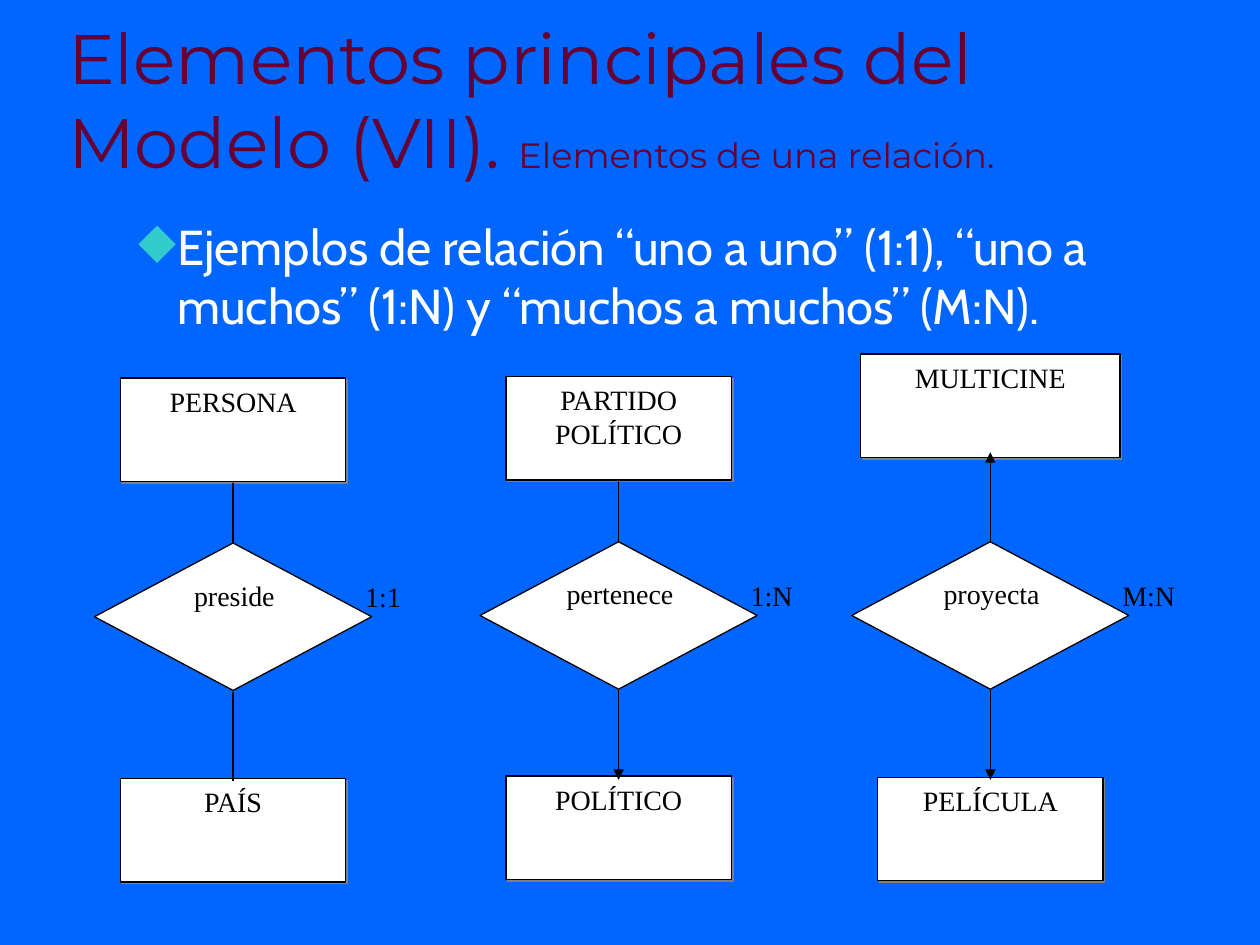
from dataclasses import dataclass

from lxml import etree
from pptx import Presentation
from pptx import util as u
from pptx.dml.color import RGBColor
from pptx.enum import shapes, text
from pptx.oxml.ns import qn

BLUE = RGBColor(0x00, 0x66, 0xFF)
MAROON = RGBColor(0x66, 0x00, 0x33)
TURQUOISE = RGBColor(0x33, 0xCC, 0xCC)
GREY = RGBColor(0x80, 0x80, 0x80)
WHITE = RGBColor(0xFF, 0xFF, 0xFF)
BLACK = RGBColor(0x00, 0x00, 0x00)

BOX_HEIGHT = 0.82
DIAMOND_WIDTH, DIAMOND_HEIGHT = 2.2, 1.17


@dataclass
class Relation:
    """One column of the diagram; lengths are in inches."""
    centre: float
    upper: str
    upper_top: float
    upper_width: float
    verb: str
    verb_width: float
    diamond_top: float
    ratio: str
    lower: str
    lower_top: float
    link_top: float
    arrow_up: bool
    arrow_down: bool


RELATIONS = [
    Relation(1.85, "PERSONA", 3, 1.79, "preside", 1.19, 4.31, "1:1",
             "PAÍS", 6.18, 3.83, False, False),
    Relation(4.91, "PARTIDO POLÍTICO", 2.99, 1.79, "pertenece", 1.19, 4.3, "1:N",
             "POLÍTICO", 6.16, 3.81, False, True),
    Relation(7.86, "MULTICINE", 2.81, 2.06, "proyecta", 1.72, 4.3, "M:N",
             "PELÍCULA", 6.17, 3.59, True, True),
]


def format_run(span, font, size, colour):
    span.font.name = font
    span.font.size = u.Pt(size)
    span.font.color.rgb = colour


def write(shape, words, font="Times New Roman", size=16, colour=BLACK,
          align=text.PP_ALIGN.CENTER):
    frame = shape.text_frame
    frame.word_wrap = True
    frame.vertical_anchor = text.MSO_ANCHOR.TOP
    frame.text = words
    para = frame.paragraphs[0]
    para.alignment = align
    format_run(para.runs[0], font, size, colour)
    return para


def add_text(page, left, top, width, height, words, **style):
    box = page.shapes.add_textbox(*map(u.Inches, (left, top, width, height)))
    return write(box, words, **style)


def add_outlined(page, kind, centre, top, width, height):
    shape = page.shapes.add_shape(
        kind, *map(u.Inches, (centre - width / 2, top, width, height)))
    shape.shadow.inherit = False
    shape.fill.solid()
    shape.fill.fore_color.rgb = WHITE
    shape.line.color.rgb = BLACK
    shape.line.width = u.Pt(0.75)
    return shape


def add_entity(page, centre, top, width, words):
    """Add a named box with a hard grey shadow."""
    box = add_outlined(page, shapes.MSO_SHAPE.RECTANGLE, centre, top, width, BOX_HEIGHT)
    effects = box._element.spPr.find(qn("a:effectLst"))
    shadow = etree.SubElement(effects, qn("a:outerShdw"), dist=str(u.Pt(1.4)),
                              dir="2700000", algn="ctr", rotWithShape="0")
    etree.SubElement(shadow, qn("a:srgbClr"), val=str(GREY))
    write(box, words)


def add_link(page, x, start, end, arrow):
    link = page.shapes.add_connector(
        shapes.MSO_CONNECTOR.STRAIGHT, *map(u.Inches, (x, start, x, end)))
    link.line.color.rgb = BLACK
    link.line.width = u.Pt(0.75)
    if arrow:
        etree.SubElement(link.line._get_or_add_ln(), qn("a:tailEnd"), type="triangle")
    etree.SubElement(link._element.spPr, qn("a:effectLst"))


def add_relation(page, relation):
    centre, top = relation.centre, relation.diamond_top
    add_entity(page, centre, relation.upper_top, relation.upper_width, relation.upper)
    add_outlined(page, shapes.MSO_SHAPE.FLOWCHART_DECISION, centre, top,
                 DIAMOND_WIDTH, DIAMOND_HEIGHT)
    add_text(page, centre - relation.verb_width / 2 + 0.01, top + 0.23,
             relation.verb_width, 0.7, relation.verb)
    add_entity(page, centre, relation.lower_top, 1.79, relation.lower)
    add_text(page, centre + 0.95, top + 0.24, 0.86, 0.94, relation.ratio,
             align=text.PP_ALIGN.LEFT)
    add_link(page, centre, top, relation.link_top, relation.arrow_up)
    add_link(page, centre, top + 1.18, top + 1.89, relation.arrow_down)


def set_title(page):
    title = page.shapes.title
    title.left, title.top, title.width, title.height = map(
        u.Inches, (0.44, 0.25, 9.06, 1.25))
    para = write(title, "Elementos principales del Modelo (VII). ",
                 "Montserrat", 40, MAROON, text.PP_ALIGN.LEFT)
    title.text_frame.vertical_anchor = text.MSO_ANCHOR.BOTTOM
    title.text_frame.auto_size = text.MSO_AUTO_SIZE.NONE
    span = para.add_run()
    span.text = "Elementos de una relación."
    format_run(span, "Montserrat", 20, MAROON)


def add_bullet(page):
    para = add_text(
        page, 0.5, 1.67, 9.33, 5.67,
        "Ejemplos de relación “uno a uno” (1:1), “uno a muchos” (1:N) "
        "y “muchos a muchos” (M:N).",
        font="Cabin", size=28, colour=WHITE, align=text.PP_ALIGN.LEFT)
    para.level = 1
    para.space_before = u.Pt(7)
    props = para._p.get_or_add_pPr()
    props.set("marL", str(u.Inches(0.81)))
    props.set("indent", str(u.Inches(-0.31)))
    colour = etree.SubElement(props, qn("a:buClr"))
    etree.SubElement(colour, qn("a:srgbClr"), val=str(TURQUOISE))
    etree.SubElement(props, qn("a:buChar"), char="◆")


def main():
    deck = Presentation()
    deck.slide_width, deck.slide_height = u.Inches(10), u.Inches(7.5)
    page = deck.slides.add_slide(deck.slide_layouts[5])
    page.background.fill.solid()
    page.background.fill.fore_color.rgb = BLUE
    set_title(page)
    add_bullet(page)
    for relation in RELATIONS:
        add_relation(page, relation)
    deck.save("out.pptx")


if __name__ == "__main__":
    main()
